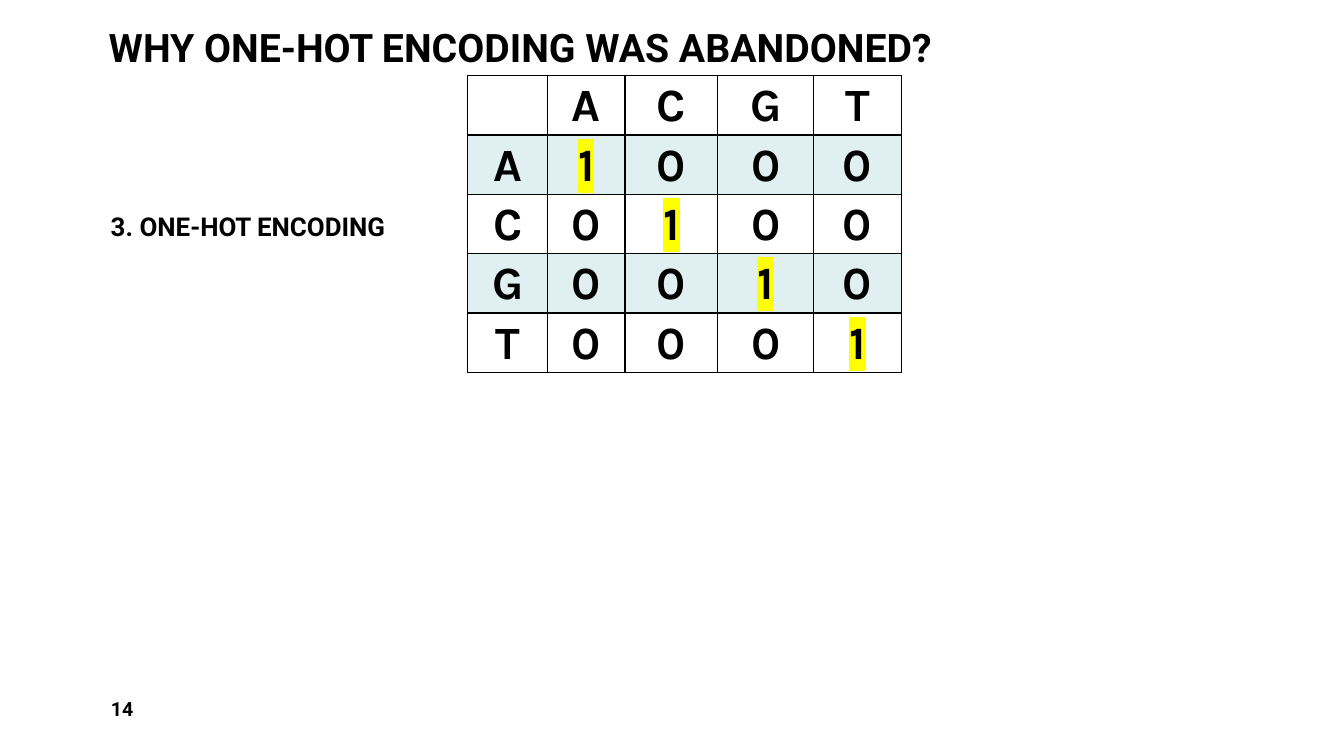
import pptx
import pptx.dml.color
import pptx.enum.text
import pptx.oxml
import pptx.oxml.ns
import pptx.util
from lxml import etree
from pptx.util import Inches

ANCHOR = pptx.enum.text.MSO_ANCHOR
NS = pptx.oxml.ns.nsdecls("a")


def rgb(value):
    return pptx.dml.color.RGBColor.from_string(value)


def style(paragraph, size, family):
    paragraph.font.size = pptx.util.Pt(size)
    paragraph.font.name = family
    paragraph.font.bold = True
    paragraph.font.color.rgb = rgb("000000")


deck = pptx.Presentation()
deck.slide_width = Inches(13.33)
deck.slide_height = Inches(7.5)
slide = deck.slides.add_slide(deck.slide_layouts[6])

labels = [
    ("WHY ONE-HOT ENCODING WAS ABANDONED?", 0.98, 0.07, 11.38, 0.68, 28, ANCHOR.BOTTOM, 0.9, 0),
    ("14", 1, 6.83, 2.92, 0.4, 14, ANCHOR.MIDDLE, 1, 6),
    ("3. ONE-HOT ENCODING", 1, 2.04, 3.44, 0.68, 18.5, ANCHOR.TOP, 1, 12),
]
for wording, left, top, width, height, size, anchor, spacing, after in labels:
    frame = slide.shapes.add_textbox(
        Inches(left), Inches(top), Inches(width), Inches(height)
    ).text_frame
    frame.word_wrap = True
    frame.vertical_anchor = anchor
    line = frame.paragraphs[0]
    line.text = wording
    line.line_spacing = spacing
    line.space_after = pptx.util.Pt(after)
    style(line, size, "Roboto")

bases = "ACGT"
column_widths = [0.79, 0.77, 0.92, 0.95, 0.87]
row_height = 0.57
encoding = slide.shapes.add_table(
    5, 5, Inches(4.64), Inches(0.75), Inches(sum(column_widths)), Inches(5 * row_height)
).table
encoding.first_row = False
encoding.horz_banding = False
for column, width in zip(encoding.columns, column_widths):
    column.width = Inches(width)

rows = [["", *bases]]
for base in bases:
    rows.append([base] + ["1" if base == other else "0" for other in bases])

for r, values in enumerate(rows):
    encoding.rows[r].height = Inches(row_height)
    for c, value in enumerate(values):
        cell = encoding.cell(r, c)
        cell.margin_left = cell.margin_right = Inches(0.07)
        cell.margin_top = cell.margin_bottom = 0
        entry = cell.text_frame.paragraphs[0]
        entry.alignment = pptx.enum.text.PP_ALIGN.CENTER
        entry.line_spacing = 1.07
        style(entry, 33, "Karla")
        if value:
            run = entry.add_run()
            run.text = value
            if value == "1":
                run.font._element.append(pptx.oxml.parse_xml(
                    f'<a:highlight {NS}><a:srgbClr val="FFFF00"/></a:highlight>'))
        properties = cell._tc.get_or_add_tcPr()
        for side in ("lnL", "lnR", "lnT", "lnB"):
            properties.append(pptx.oxml.parse_xml(
                f'<a:{side} {NS} w="12700"><a:solidFill><a:srgbClr val="000000"/>'
                f'</a:solidFill></a:{side}>'))
        if r % 2:
            cell.fill.solid()
            cell.fill.fore_color.rgb = rgb("66B2B0")
            tint = properties.find(
                pptx.oxml.ns.qn("a:solidFill") + "/" + pptx.oxml.ns.qn("a:srgbClr"))
            etree.SubElement(tint, pptx.oxml.ns.qn("a:alpha"), val="20000")
        else:
            cell.fill.background()

deck.save("out.pptx")
